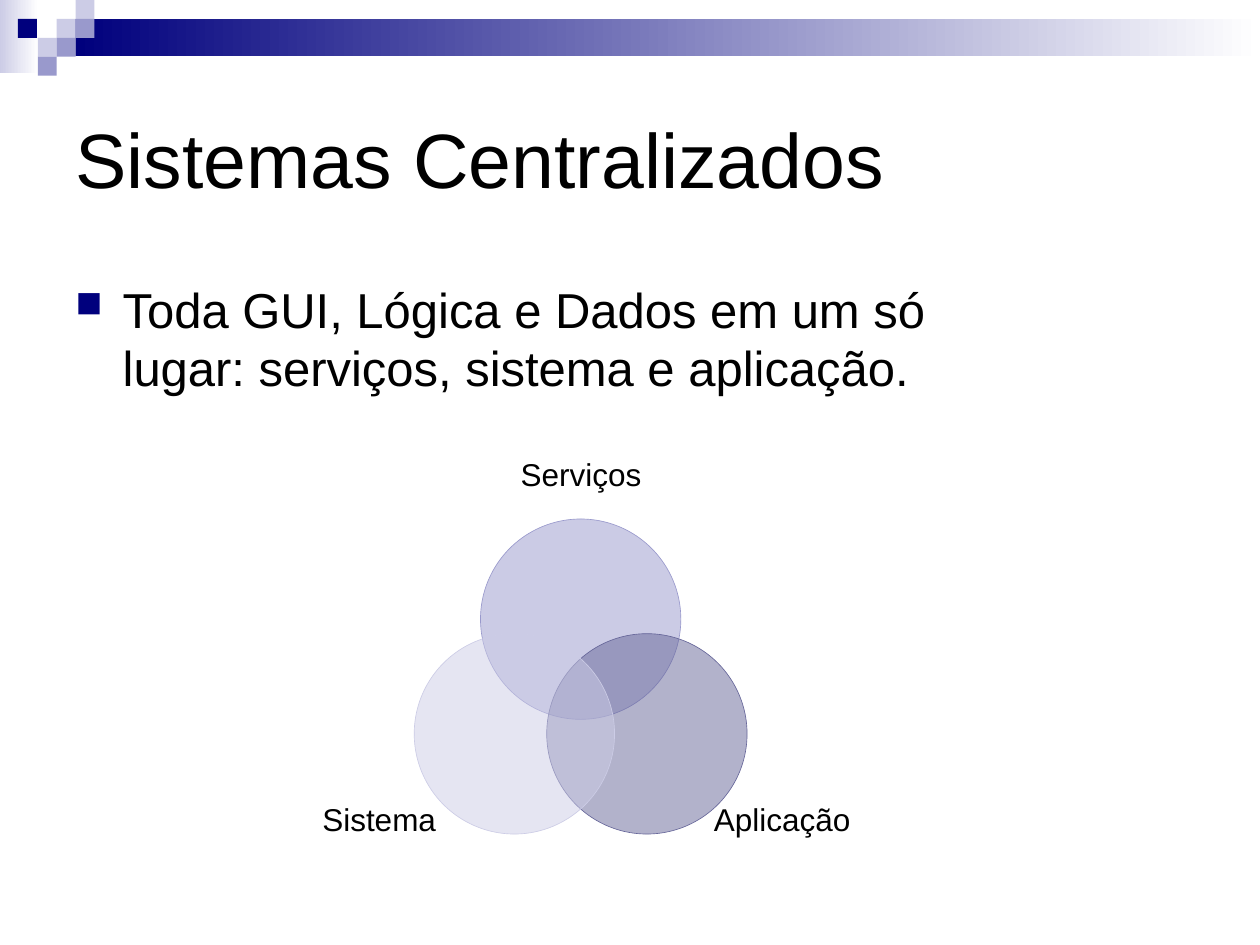
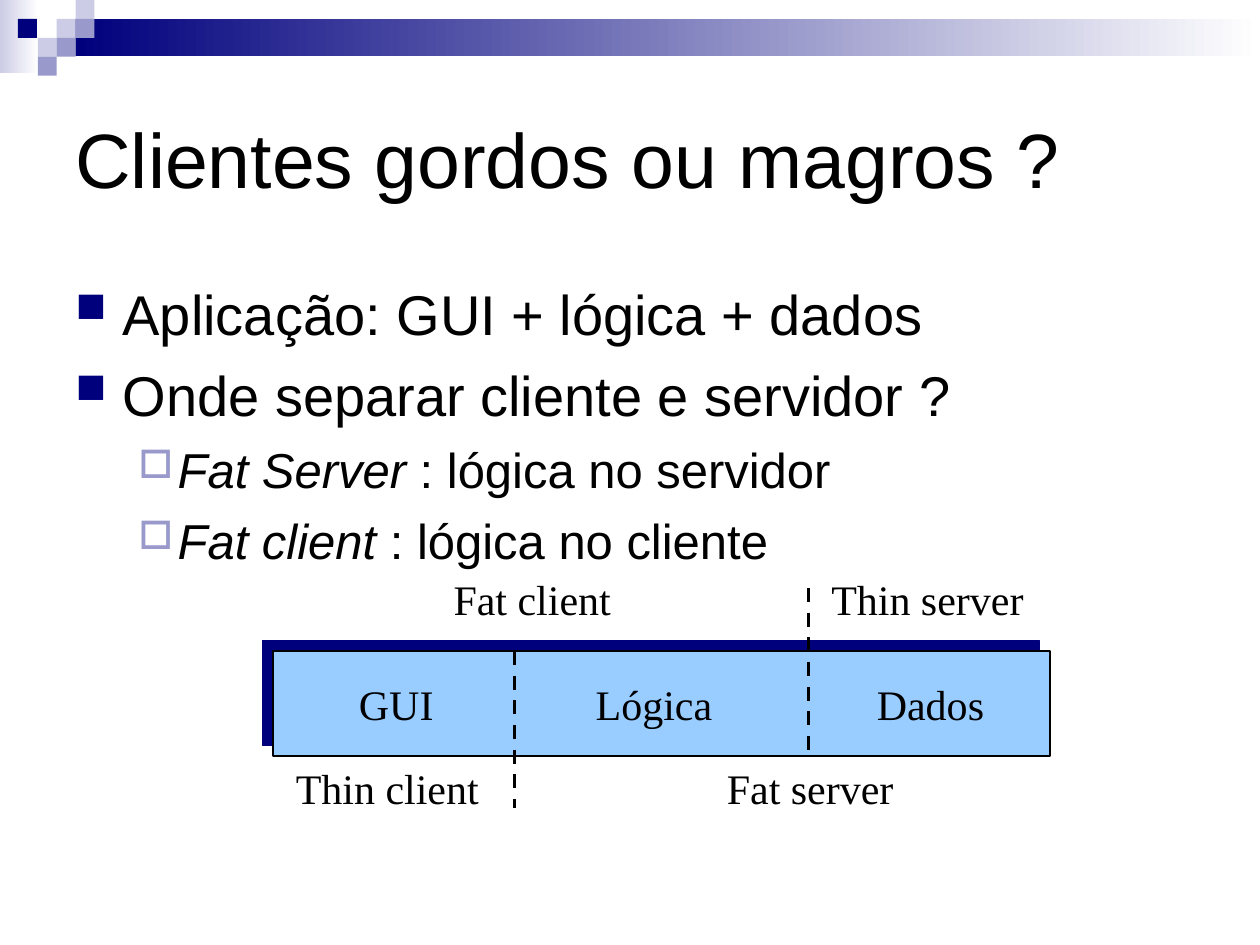
import math
import pptx
import pptx.util
import pptx.dml.color
import pptx.enum.dml
import pptx.enum.shapes
import pptx.enum.text
import pptx.oxml
import pptx.oxml.ns
import lxml.etree

Pt = pptx.util.Pt
RGB = pptx.dml.color.RGBColor
KIND = pptx.enum.shapes.MSO_SHAPE
ALIGN = pptx.enum.text.PP_ALIGN
MIDDLE = pptx.enum.text.MSO_ANCHOR.MIDDLE
DASH = pptx.enum.dml.MSO_LINE.DASH

NAVY = RGB(0x00, 0x00, 0x7D)
LILAC = RGB(0x99, 0x99, 0xCC)
PALE = RGB(0xCC, 0xCC, 0xE6)
SLATE = RGB(0x66, 0x66, 0x99)
SKY = RGB(0x99, 0xCC, 0xFF)
BLACK = RGB(0, 0, 0)
WHITE = RGB(255, 255, 255)

SANS = "Arial"
SERIF = "Times New Roman"
TITLE = {"size": Pt(44), "name": SANS}
TAG = {"size": Pt(18), "name": SANS}
PART = {"size": Pt(24), "name": SERIF}

TILE = 10.8
BANDS = [(0, 0, 22, 42, PALE), (43, TILE, 677, 21.2, NAVY)]
TILES = [(3, 1, PALE), (4, 0, PALE), (4, 1, LILAC), (2, 2, PALE),
         (0.95, 1, NAVY), (3, 2, LILAC), (2, 3, LILAC)]

BULLET = [
    {"mark": "n", "tint": NAVY, "scale": 75, "left": 27, "hang": 27},
    {"mark": "o", "tint": LILAC, "scale": 80, "left": 58.5, "hang": 22.5},
]

CENTRAL = {
    "title": "Sistemas Centralizados",
    "width": 545,
    "body": [(0, 28, 7, [("Toda GUI, Lógica e Dados em um só lugar: "
                          "serviços, sistema e aplicação.", False)])],
}
CLIENT = {
    "title": "Clientes gordos ou magros ?",
    "width": 648,
    "body": [
        (0, 32, 8, [("Aplicação: GUI + lógica + dados", False)]),
        (0, 32, 8, [("Onde separar cliente e servidor ?", False)]),
        (1, 28, 7, [("Fat Server ", True), (": lógica no servidor", False)]),
        (1, 28, 7, [("Fat client ", True), (": lógica no cliente", False)]),
    ],
}

VENN = {"mid": (331.8, 397.5), "reach": 43.7, "size": 114.5}
RINGS = [("Serviços", -90, LILAC, (332, 270.7)),
         ("Aplicação", 30, SLATE, (447, 468)),
         ("Sistema", 150, PALE, (216.7, 468))]

BAR = (156, 372, 444, 60)
CUTS = [(294, 372, 462), (462, 336, 432)]
ROWS = [
    (402, [("GUI", 226.4), ("Lógica", 373.7), ("Dados", 531.7)]),
    (450, [("Thin client", 221.4), ("Fat server", 463)]),
    (342, [("Fat client", 304.2), ("Thin server", 530)]),
]


def put(obj, vals):
    for key, val in vals.items():
        setattr(obj, key, val)


def add_node(host, tag, **vals):
    node = lxml.etree.SubElement(host, pptx.oxml.ns.qn(tag))
    for key, val in vals.items():
        node.set(key, str(val))
    return node


def add_form(slide, kind, box, fill, line=None, weight=0.75):
    form = slide.shapes.add_shape(kind, *map(Pt, box))
    form.shadow.inherit = False
    form.fill.solid()
    form.fill.fore_color.rgb = fill
    if line is None:
        form.line.fill.background()
    else:
        form.line.color.rgb = line
        form.line.width = Pt(weight)
    return form


def add_text(slide, box, wrap=True, **vals):
    frame = slide.shapes.add_textbox(*map(Pt, box)).text_frame
    put(frame, {"word_wrap": wrap, **vals})
    return frame


def add_run(para, text, style):
    run = para.add_run()
    run.text = text
    put(run.font, style)
    run.font.color.rgb = BLACK


def add_label(slide, text, mid, style):
    x, y = mid
    frame = add_text(slide, (x - 65, y - 18, 130, 36), False,
                     vertical_anchor=MIDDLE)
    para = frame.paragraphs[0]
    para.alignment = ALIGN.CENTER
    add_run(para, text, style)


def add_mark(para, look):
    props = para._p.get_or_add_pPr()
    props.set("marL", str(Pt(look["left"])))
    props.set("indent", str(-Pt(look["hang"])))
    add_node(add_node(props, "a:buClr"), "a:srgbClr", val=look["tint"])
    add_node(props, "a:buSzPct", val=look["scale"] * 1000)
    add_node(props, "a:buFont", typeface="Wingdings", charset=2)
    add_node(props, "a:buChar", char=look["mark"])


def add_body(slide, rows, width):
    frame = add_text(slide, (36, 156, width, 200))
    for num, (level, size, gap, runs) in enumerate(rows):
        para = frame.add_paragraph() if num else frame.paragraphs[0]
        add_mark(para, BULLET[level])
        put(para, {"level": level, "space_before": Pt(gap if num else 0)})
        for text, slant in runs:
            add_run(para, text,
                    {"size": Pt(size), "name": SANS, "italic": slant})


def add_base(deck, page):
    slide = deck.slides.add_slide(deck.slide_layouts[6])
    for *box, tint in BANDS:
        fill = add_form(slide, KIND.RECTANGLE, box, tint).fill
        fill.gradient()
        fill.gradient_angle = 0
        for stop, tone, place in zip(fill.gradient_stops, (tint, WHITE), (0, 1)):
            stop.color.rgb = tone
            stop.position = place
    for col, row, tint in TILES:
        add_form(slide, KIND.RECTANGLE,
                 (col * TILE, row * TILE, TILE, TILE), tint)
    frame = add_text(slide, (36, 36, 648, 108), vertical_anchor=MIDDLE)
    add_run(frame.paragraphs[0], page["title"], TITLE)
    add_body(slide, page["body"], page["width"])
    return slide


def draw_venn(slide):
    x, y = VENN["mid"]
    size = VENN["size"]
    for text, turn, tint, spot in RINGS:
        angle = math.radians(turn)
        left = x + VENN["reach"] * math.cos(angle) - size / 2
        top = y + VENN["reach"] * math.sin(angle) - size / 2
        ring = add_form(slide, KIND.OVAL, (left, top, size, size),
                        tint, tint, 0.37)
        tone = ring.fill._xPr.find(".//" + pptx.oxml.ns.qn("a:srgbClr"))
        add_node(tone, "a:alpha", val=50000)
        add_label(slide, text, spot, TAG)


def draw_bar(slide):
    bar = add_form(slide, KIND.RECTANGLE, BAR, SKY, BLACK)
    glow = bar._element.spPr.find(pptx.oxml.ns.qn("a:effectLst"))
    shade = add_node(glow, "a:outerShdw", dist=Pt(8.5), dir=225 * 60000,
                     algn="ctr", rotWithShape=0)
    add_node(shade, "a:srgbClr", val=NAVY)
    for x, top, end in CUTS:
        cut = slide.shapes.add_connector(
            pptx.enum.shapes.MSO_CONNECTOR.STRAIGHT,
            Pt(x), Pt(top), Pt(x), Pt(end))
        cut.line.color.rgb = BLACK
        put(cut.line, {"width": Pt(2), "dash_style": DASH})
        add_node(cut._element.spPr, "a:effectLst")
    for y, parts in ROWS:
        for text, x in parts:
            add_label(slide, text, (x, y), PART)


def main():
    deck = pptx.Presentation()
    put(deck, {"slide_width": Pt(720), "slide_height": Pt(540)})
    draw_venn(add_base(deck, CENTRAL))
    draw_bar(add_base(deck, CLIENT))
    deck.save("out.pptx")


if __name__ == "__main__":
    main()
